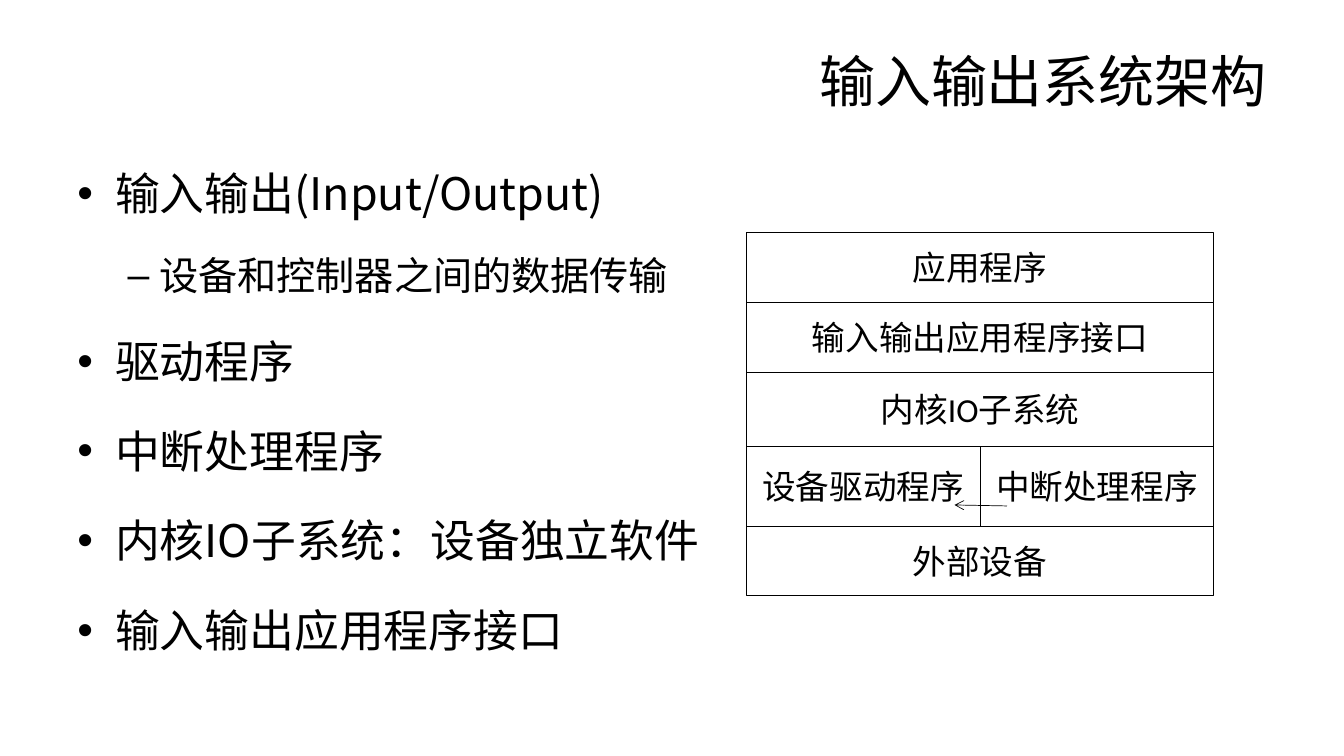
from typing import NamedTuple

from lxml import etree
from pptx import Presentation
from pptx import util as u
from pptx.dml.color import RGBColor
from pptx.enum import shapes, text
from pptx.oxml import ns

Pt = u.Pt
INK = "000000"
CJK = "Noto Sans CJK SC"
LEFT, TOP, WIDE, SPLIT = 533, 166, 334, 167


class Item(NamedTuple):
    words: str
    level: int = 0


class Level(NamedTuple):
    size: float
    margin: float
    hang: float
    mark: str


class Row(NamedTuple):
    height: float
    words: tuple[str, ...]


ITEMS = [
    Item("输入输出(Input/Output)"),
    Item("设备和控制器之间的数据传输", 1),
    Item("驱动程序"),
    Item("中断处理程序"),
    Item("内核IO子系统：设备独立软件"),
    Item("输入输出应用程序接口"),
]
LEVELS = [Level(32, 27, 27, "•"), Level(28, 58.5, 22.5, "–")]
ROWS = [
    Row(50, ("应用程序",)),
    Row(50, ("输入输出应用程序接口",)),
    Row(53, ("内核IO子系统",)),
    Row(57, ("设备驱动程序", "中断处理程序")),
    Row(49.5, ("外部设备",)),
]


def paint(target, color: str) -> None:
    """Give a fill a solid colour."""
    target.solid()
    target.fore_color.rgb = RGBColor.from_string(color)


def style(para, size: float, face: str) -> None:
    """Set size, colour and both Latin and East Asian fonts."""
    font = para.font
    font.size = Pt(size)
    font.name = face
    paint(font.fill, INK)
    props = para._p.get_or_add_pPr().find(ns.qn("a:defRPr"))
    etree.SubElement(props, ns.qn("a:ea"), typeface=CJK)


def place(shape, left: float, top: float, width: float, height: float) -> None:
    shape.left, shape.top = Pt(left), Pt(top)
    shape.width, shape.height = Pt(width), Pt(height)


def add_title(slide) -> None:
    title = slide.shapes.title
    place(title, 48, 21.6, 864, 71.3)
    frame = title.text_frame
    frame.text = "输入输出系统架构"
    frame.auto_size = text.MSO_AUTO_SIZE.NONE
    frame.vertical_anchor = text.MSO_ANCHOR.MIDDLE
    para = frame.paragraphs[0]
    para.alignment = text.PP_ALIGN.RIGHT
    style(para, 40, "Arial")


def add_list(slide) -> None:
    body = slide.placeholders[1]
    place(body, 48, 92.9, 864, 389.5)
    frame = body.text_frame
    frame.auto_size = text.MSO_AUTO_SIZE.NONE
    frame.margin_top = Pt(6.4)
    frame.text = "\n".join(item.words for item in ITEMS)
    for i, (para, item) in enumerate(zip(frame.paragraphs, ITEMS)):
        level = LEVELS[item.level]
        para.level = item.level
        para.line_spacing = Pt(level.size * 1.8)
        para.space_before = Pt(level.size * 0.2 if i else 0)
        props = para._p.get_or_add_pPr()
        props.set("marL", str(Pt(level.margin)))
        props.set("indent", str(-Pt(level.hang)))
        etree.SubElement(props, ns.qn("a:buChar"), char=level.mark)
        style(para, level.size, CJK)


def add_box(slide, words: str, left: float, top: float, width: float, height: float) -> None:
    box = slide.shapes.add_shape(
        shapes.MSO_SHAPE.RECTANGLE, Pt(left), Pt(top), Pt(width), Pt(height))
    box.shadow.inherit = False
    box.fill.background()
    paint(box.line.fill, INK)
    box.line.width = Pt(0.5)
    frame = box.text_frame
    frame.margin_left = frame.margin_right = frame.margin_top = frame.margin_bottom = 0
    frame.vertical_anchor = text.MSO_ANCHOR.MIDDLE
    frame.text = words
    para = frame.paragraphs[0]
    para.alignment = text.PP_ALIGN.CENTER
    style(para, 24, "Calibri")


def add_stack(slide) -> None:
    top = TOP
    for row in ROWS:
        edges = [0, SPLIT, WIDE] if len(row.words) == 2 else [0, WIDE]
        for words, start, end in zip(row.words, edges, edges[1:]):
            add_box(slide, words, LEFT + start, top, end - start, row.height)
        top += row.height


def add_arrow(slide) -> None:
    """Point from the interrupt handler to the device driver."""
    arrow = slide.shapes.add_connector(
        shapes.MSO_CONNECTOR.STRAIGHT, Pt(719.3), Pt(361.4), Pt(681.8), Pt(360.7))
    paint(arrow.line.fill, INK)
    arrow.line.width = Pt(0.5)
    etree.SubElement(arrow.line._get_or_add_ln(), ns.qn("a:tailEnd"), type="arrow")
    etree.SubElement(arrow._element.spPr, ns.qn("a:effectLst"))


def main() -> None:
    deck = Presentation()
    deck.slide_width, deck.slide_height = Pt(960), Pt(540)
    slide = deck.slides.add_slide(deck.slide_layouts[1])
    add_title(slide)
    add_list(slide)
    add_stack(slide)
    add_arrow(slide)
    deck.save("out.pptx")


if __name__ == "__main__":
    main()
